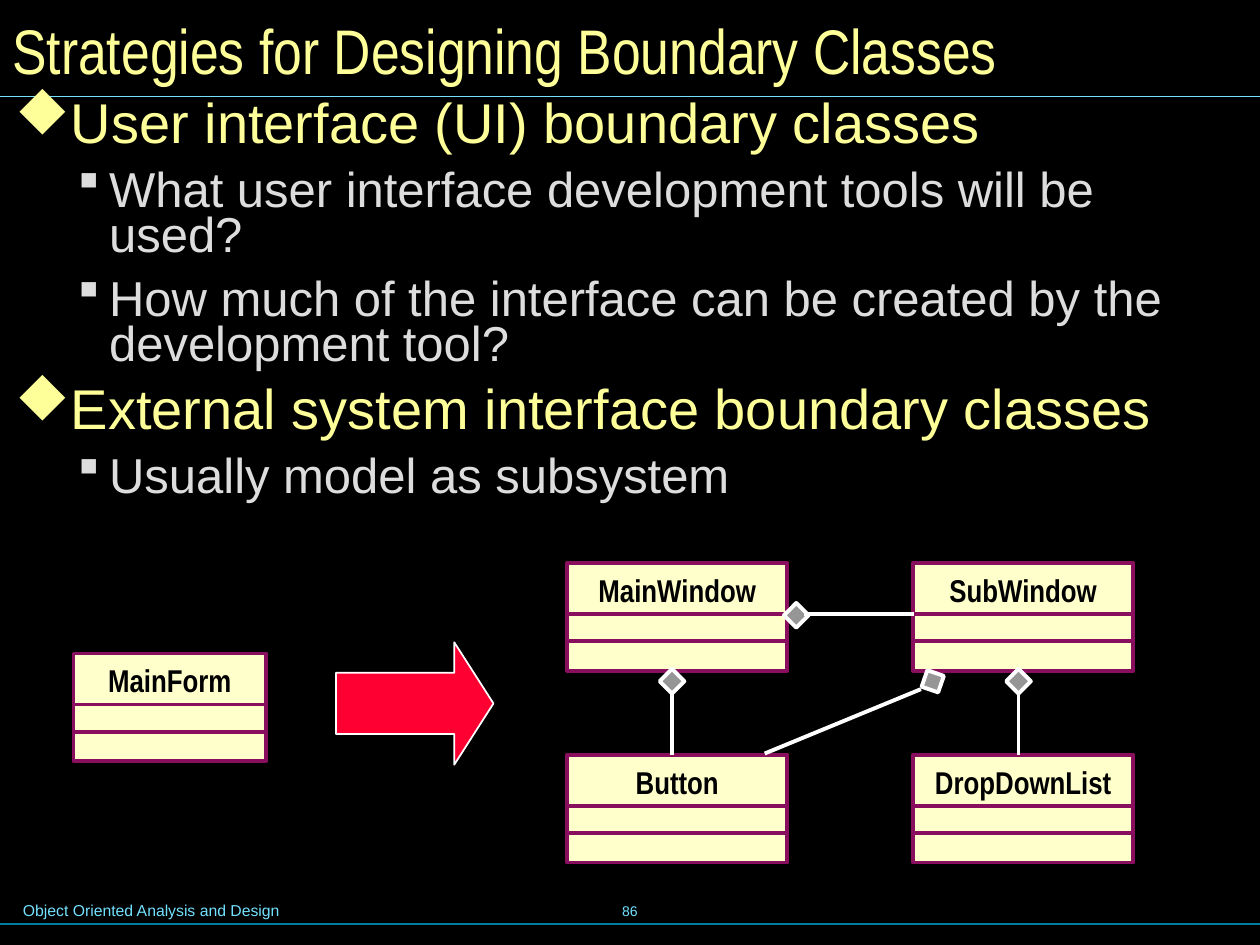
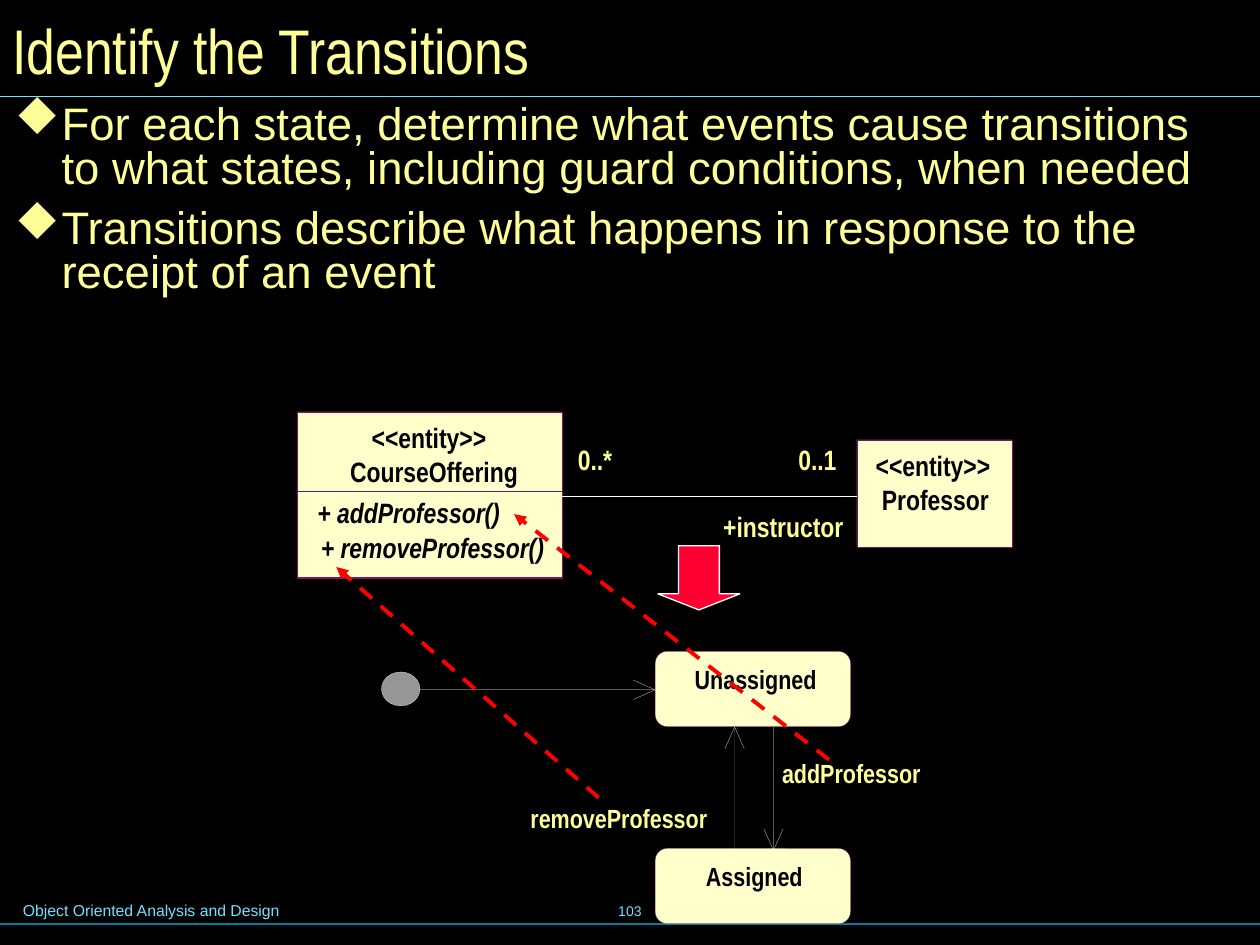
from math import hypot
from lxml.etree import SubElement as Sub
from pptx import Presentation
from pptx.dml.color import RGBColor as RGB
from pptx.enum.dml import MSO_LINE as Dash
from pptx.enum.shapes import MSO_CONNECTOR as Conn, MSO_SHAPE as Kind
from pptx.enum.text import MSO_ANCHOR as Anchor, MSO_AUTO_SIZE as Fit, PP_ALIGN as Align
from pptx.oxml.ns import qn
from pptx.util import Pt

BLACK = RGB(0x00, 0x00, 0x00)
WHITE = RGB(0xFF, 0xFF, 0xFF)
CREAM = RGB(0xFF, 0xFF, 0xCC)
YELLOW = RGB(0xFF, 0xFF, 0x99)
PALE = RGB(0xDD, 0xDD, 0xDD)
PLUM = RGB(0x8A, 0x0E, 0x5E)
GREY = RGB(0x96, 0x96, 0x96)
CRIMSON = RGB(0xFF, 0x00, 0x33)
RED = RGB(0xFF, 0x00, 0x00)
SKY = RGB(0x73, 0xE1, 0xFF)
TEAL = RGB(0x00, 0x7E, 0x9F)
SANS, NARROW, SIGNS = "Arial", "Arial Narrow", "Wingdings"
HAIR = 0.1

COURSE = "Object Oriented Analysis and Design"
LEVELS = [("u", YELLOW, 26.6, 26.6), ("§", PALE, 53.8, 18)]

DESIGN = {
    "title": "Strategies for Designing Boundary Classes",
    "page": "86",
    "high": 285,
    "styles": [(32, 0.7, 12), (28, 0.77, 10.5)],
    "points": [
        (0, "User interface (UI) boundary classes"),
        (1, "What user interface development tools will be used?"),
        (1, "How much of the interface can be created by the development tool?"),
        (0, "External system interface boundary classes"),
        (1, "Usually model as subsystem"),
    ],
}
MOVES = {
    "title": "Identify the Transitions",
    "page": "103",
    "high": 124,
    "styles": [(26, 0.8, 9.8)],
    "points": [
        (0, "For each state, determine what events cause transitions "
            "to what states, including guard conditions, when needed"),
        (0, "Transitions describe what happens in response to the receipt of an event"),
    ],
}

COLS, ROWS = (324, 521.7), (321.7, 431.3)
CLASSES = [
    ("MainForm", 42, 373.4, 110),
    ("SubWindow", COLS[1], ROWS[0], 126),
    ("DropDownList", COLS[1], ROWS[1], 126),
    ("Button", COLS[0], ROWS[1], 126),
    ("MainWindow", COLS[0], ROWS[0], 126),
]
OWNERS = [
    ((455, 351.6), 135, (459.5, 351), (522, 351)),
    ((582, 389.3), 225, (582, 396.7), (582, 431.3)),
    ((384, 389.3), 225, (384, 396.7), (384, 431.3)),
    ((533, 389.3), 289.1, (526.3, 393.8), (437, 430.6)),
]

BOXES = [(170, 235.4, 151.2, 95), (170, 280.8, 151.2, 49.2), (489.6, 251.3, 88.6, 61.2)]
STATES = [("Unassigned", 372.2, 397, 70), ("Assigned", 484.8, 403.4, 56)]
LABELS = [
    ("<<entity>>", 212.4, 240.5, 65.5, 16, BLACK, False),
    ("CourseOffering", 200, 260, 96, 16, BLACK, False),
    ("+ addProfessor()", 181.4, 283, 104.4, 16, BLACK, True),
    ("+ removeProfessor()", 183.4, 303, 128, 16, BLACK, True),
    ("<<entity>>", 500.4, 256.3, 65.5, 16, BLACK, False),
    ("Professor", 504, 275.8, 61.2, 16, BLACK, False),
    ("0..*", 330.2, 252.7, 20, 16, YELLOW, False),
    ("0..1", 456.2, 252.7, 22, 16, YELLOW, False),
    ("+instructor", 413.3, 291, 69, 16, YELLOW, False),
    ("removeProfessor", 303.1, 458.6, 101.5, 15, YELLOW, False),
    ("addProfessor", 446.9, 432.7, 79.4, 15, YELLOW, False),
]
STEPS = [((442, 415.4), (442, 486)), ((419.8, 486), (419.8, 415.4)), ((239.8, 394.2), (374.4, 394.2))]
CALLS = [((342, 455.8), (192.2, 324)), ((473.8, 434.2), (293.8, 293.8))]


def place(*nums):
    return [Pt(n) for n in nums]


def style(item, text, size=16, color=BLACK, font=NARROW, bold=False, italic=False, align=Align.LEFT):
    item.text = text
    item.alignment = align
    face = item.font
    face.size, face.name, face.bold, face.italic = Pt(size), font, bold, italic
    face.color.rgb = color


def frame(slide, box, pad=(0, 0), wrap=False, anchor=Anchor.TOP):
    text = slide.shapes.add_textbox(*place(*box)).text_frame
    text.margin_left = text.margin_right = Pt(pad[0])
    text.margin_top = text.margin_bottom = Pt(pad[1])
    text.word_wrap, text.vertical_anchor = wrap, anchor
    if not wrap and anchor == Anchor.TOP:
        text.auto_size = Fit.SHAPE_TO_FIT_TEXT
    return text


def write(slide, text, box, pad=(0, 0), wrap=False, anchor=Anchor.TOP, **form):
    style(frame(slide, box, pad, wrap, anchor).paragraphs[0], text, **form)


def shape(slide, kind, box, fill, edge, width=HAIR, turn=0, adjust=()):
    item = slide.shapes.add_shape(kind, *place(*box))
    item.shadow.inherit = False
    item.fill.solid()
    item.fill.fore_color.rgb = fill
    item.line.color.rgb = edge
    item.line.width = Pt(width)
    item.rotation = turn
    for i, part in enumerate(adjust):
        item.adjustments[i] = part


def line(slide, start, end, color=WHITE, width=HAIR, call=False):
    item = slide.shapes.add_connector(Conn.STRAIGHT, *place(*start, *end))
    item.line.color.rgb = color
    item.line.width = Pt(width)
    if call:
        item.line.dash_style = Dash.DASH
        Sub(item.line._ln, qn("a:tailEnd"), type="triangle")
    Sub(item._element.spPr, qn("a:effectLst"))


def step(slide, start, tip):
    dx, dy = tip[0] - start[0], tip[1] - start[1]
    size = hypot(dx, dy)
    dx, dy = dx / size, dy / size
    barbs = [(tip[0] - 12.4 * dx + side * abs(dy), tip[1] - 12.4 * dy + side * abs(dx))
             for side in (5.5, -5.5)]
    pen = slide.shapes.build_freeform(*place(*start))
    pen.add_line_segments([place(*tip), place(*barbs[0])], close=False)
    item = pen.convert_to_shape()
    item.shadow.inherit = False
    item.fill.background()
    item.line.color.rgb = WHITE
    item.line.width = Pt(HAIR)
    line(slide, tip, barbs[1])


def bullet(item, mark, color, left, hang):
    props = item._p.get_or_add_pPr()
    props.set("marL", str(Pt(left)))
    props.set("indent", str(-Pt(hang)))
    Sub(Sub(props, qn("a:buClr")), qn("a:srgbClr"), val=str(color))
    Sub(props, qn("a:buFont"), typeface=SIGNS, pitchFamily="2", charset="2")
    Sub(props, qn("a:buChar"), char=mark)


def base(deck, data):
    slide = deck.slides.add_slide(deck.slide_layouts[6])
    slide.background.fill.solid()
    slide.background.fill.fore_color.rgb = BLACK
    write(slide, COURSE, (6, 511, 367, 18), (7.2, 3.6), True, size=9, color=SKY, font=SANS)
    write(slide, data["page"], (246, 502.6, 228, 36), (7.2, 3.6), anchor=Anchor.MIDDLE,
          size=8, color=SKY, font=SANS, align=Align.CENTER)
    line(slide, (0, 528), (720, 528), TEAL, 0.75)
    line(slide, (0, 55), (720, 55), SKY, 0.75)
    write(slide, data["title"], (0, 0, 715, 56), (7.2, 3.6), True, Anchor.MIDDLE, size=36, color=YELLOW)
    body = frame(slide, (0, 56, 692, data["high"]), (8.6, 4.3), True)
    for i, (level, text) in enumerate(data["points"]):
        item = body.add_paragraph() if i else body.paragraphs[0]
        mark, color, left, hang = LEVELS[level]
        size, gap, before = data["styles"][level]
        item.level = level
        item.line_spacing = gap
        item.space_before = Pt(before if i else 0)
        bullet(item, mark, color, left, hang)
        style(item, text, size=size, color=color, font=SANS)
    return slide


def design(deck):
    slide = base(deck, DESIGN)
    for name, left, top, wide in CLASSES:
        shape(slide, Kind.RECTANGLE, (left, top, wide, 61.6), CREAM, PLUM, 2.25)
        for drop in (29.2, 44.8):
            line(slide, (left, top + drop), (left + wide, top + drop), PLUM, 2.25)
        write(slide, name, (left, top + 4.6, wide, 21.6), size=18, bold=True, align=Align.CENTER)
    for (x, y), turn, start, end in OWNERS:
        shape(slide, Kind.RECTANGLE, (x - 5, y - 5, 10, 10), GREY, WHITE, 2.25, turn)
        line(slide, start, end, width=2.25)
    shape(slide, Kind.RIGHT_ARROW, (192, 367, 90, 70), CRIMSON, WHITE, 1, adjust=(0.5, 0.32))


def moves(deck):
    slide = base(deck, MOVES)
    shape(slide, Kind.OVAL, (218, 384, 22, 19.4), GREY, WHITE)
    for name, top, left, wide in STATES:
        shape(slide, Kind.ROUNDED_RECTANGLE, (374.4, top, 111.6, 43), CREAM, PLUM, adjust=(0.16,))
        write(slide, name, (left, top + 6.8, wide, 18), size=15, bold=True)
    for start, tip in STEPS:
        step(slide, start, tip)
    shape(slide, Kind.DOWN_ARROW, (376, 311.8, 46.8, 36.7), CRIMSON, WHITE, 0.75, adjust=(0.5, 0.25))
    for box in BOXES:
        shape(slide, Kind.RECTANGLE, box, CREAM, PLUM)
    for text, left, top, wide, size, color, italic in LABELS:
        write(slide, text, (left, top, wide, size * 1.2), size=size, color=color, bold=True, italic=italic)
    line(slide, (321.2, 283.3), (489.6, 283.3))
    for start, end in CALLS:
        line(slide, start, end, RED, 2.25, True)


def main():
    deck = Presentation()
    deck.slide_width, deck.slide_height = Pt(720), Pt(540)
    design(deck)
    moves(deck)
    deck.save("out.pptx")


if __name__ == "__main__":
    main()
